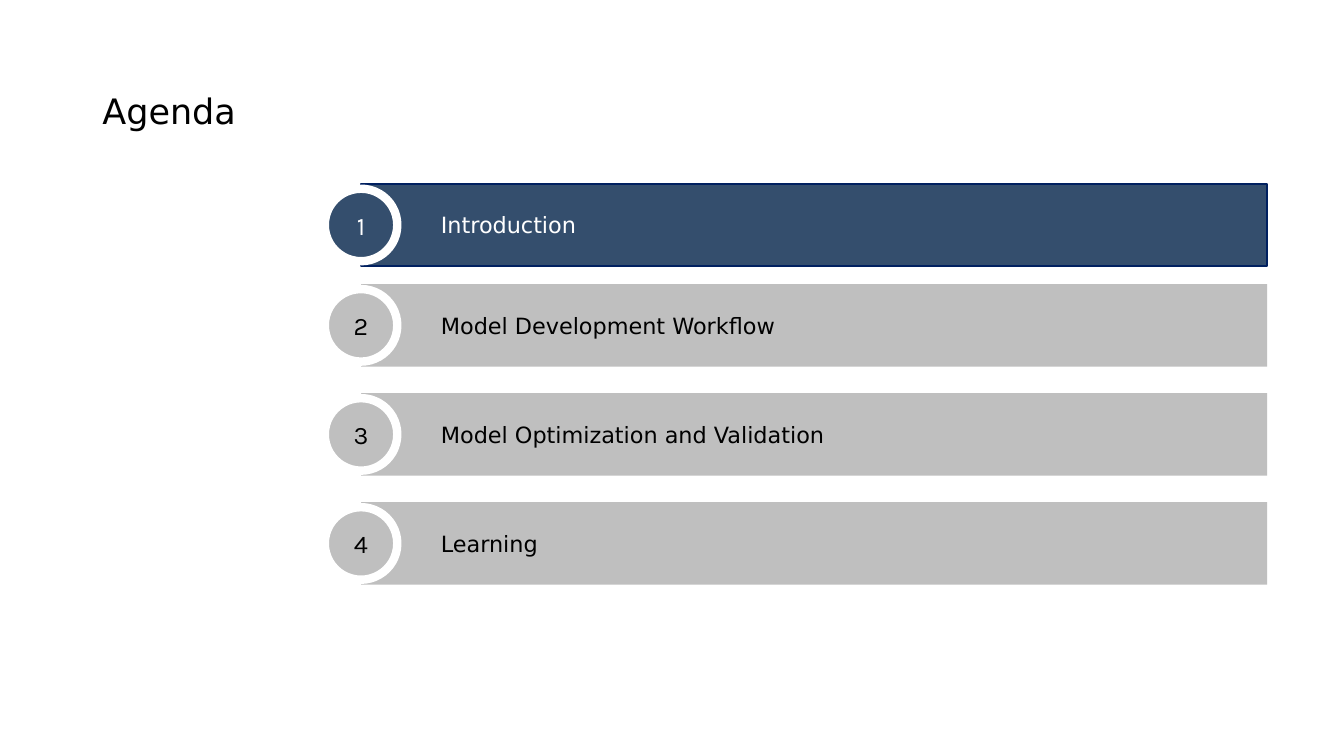
from pptx import Presentation
from pptx.dml.color import RGBColor
from pptx.enum.shapes import MSO_SHAPE
from pptx.enum.text import MSO_ANCHOR, PP_ALIGN
from pptx.util import Pt

TITLE = "Agenda"
# Topic, top of its bar
TOPICS = [
    ("Introduction", 131.2),
    ("Model Development Workflow", 202.9),
    ("Model Optimization and Validation", 280.8),
    ("Learning", 358.7),
]
CURRENT = 1

# Fill, bar outline, text
ACTIVE = ("344E6D", "002060", "FFFFFF")
INACTIVE = ("BFBFBF", None, "000000")

BAR_LEFT, BAR_WIDTH, BAR_HEIGHT = 257.9, 647.3, 59
CIRCLE = 51.8
TEXT_INSET = 57


def rgb(value):
    return RGBColor.from_string(value)


def style_text(tf, text, size, font, color, align):
    tf.text = text
    tf.word_wrap = True
    tf.vertical_anchor = MSO_ANCHOR.MIDDLE
    p = tf.paragraphs[0]
    p.alignment = align
    p.font.size = Pt(size)
    p.font.name = font
    p.font.color.rgb = rgb(color)
    return p


def add_block(s, kind, box, fill, line, width):
    sp = s.shapes.add_shape(kind, *map(Pt, box))
    sp.shadow.inherit = False
    sp.fill.solid()
    sp.fill.fore_color.rgb = rgb(fill)
    if line:
        sp.line.color.rgb = rgb(line)
        sp.line.width = Pt(width)
    else:
        sp.line.fill.background()
    return sp


def add_topic(s, number, topic, top):
    fill, outline, color = ACTIVE if number == CURRENT else INACTIVE
    bar = add_block(s, MSO_SHAPE.RECTANGLE,
                    (BAR_LEFT, top, BAR_WIDTH, BAR_HEIGHT), fill, outline, 1.5)
    bar.text_frame.margin_left = Pt(TEXT_INSET)
    style_text(bar.text_frame, topic, 16, "DejaVu Sans", color, PP_ALIGN.LEFT)

    # The circle is centred on the left edge of the bar
    circle = add_block(s, MSO_SHAPE.OVAL,
                       (BAR_LEFT - CIRCLE / 2, top + (BAR_HEIGHT - CIRCLE) / 2,
                        CIRCLE, CIRCLE), fill, "FFFFFF", 6)
    style_text(circle.text_frame, str(number), 18, "Karla", color, PP_ALIGN.CENTER)


def main():
    prs = Presentation()
    prs.slide_width, prs.slide_height = Pt(960), Pt(540)
    s = prs.slides.add_slide(prs.slide_layouts[5])

    title = s.shapes.title
    title.left, title.top, title.width, title.height = map(Pt, (66, 28.8, 828, 104.4))
    p = style_text(title.text_frame, TITLE, 25, "DejaVu Sans", "000000", PP_ALIGN.LEFT)
    p.line_spacing = 0.9

    for number, (topic, top) in enumerate(TOPICS, 1):
        add_topic(s, number, topic, top)

    prs.save("out.pptx")


if __name__ == "__main__":
    main()
